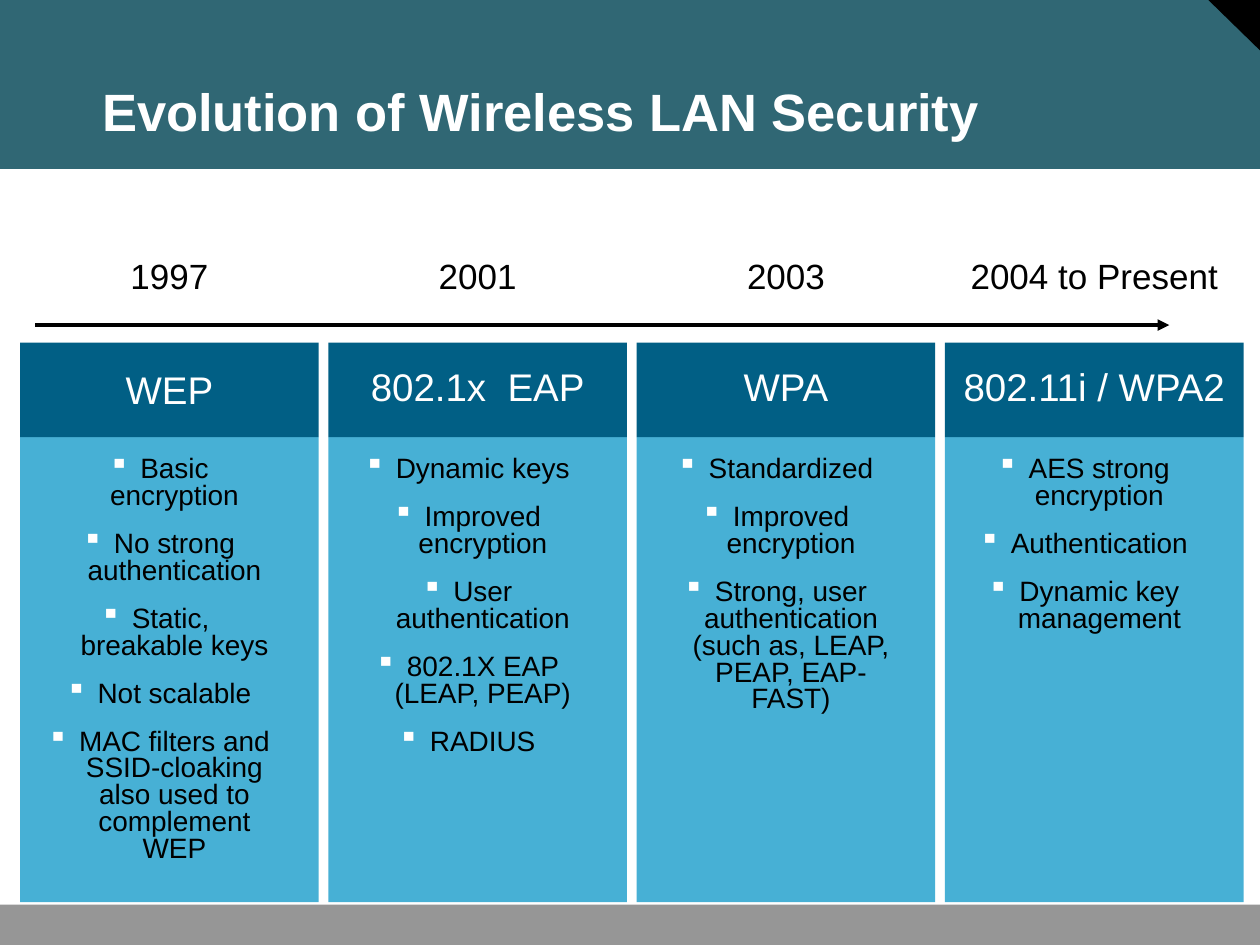
from lxml import etree
from pptx import Presentation
from pptx.dml.color import RGBColor
from pptx.enum.shapes import MSO_CONNECTOR, MSO_SHAPE
from pptx.enum.text import MSO_ANCHOR, PP_ALIGN
from pptx.oxml.ns import qn
from pptx.util import Inches, Pt

RECTANGLE, TRIANGLE = MSO_SHAPE.RECTANGLE, MSO_SHAPE.RIGHT_TRIANGLE
LEFT, CENTER = PP_ALIGN.LEFT, PP_ALIGN.CENTER
TOP, MIDDLE, BOTTOM = MSO_ANCHOR.TOP, MSO_ANCHOR.MIDDLE, MSO_ANCHOR.BOTTOM

WHITE = RGBColor(0xFF, 0xFF, 0xFF)
BLACK = RGBColor(0x00, 0x00, 0x00)
TEAL = RGBColor(0x30, 0x67, 0x74)
GRAY = RGBColor(0x96, 0x96, 0x96)
DARK_BLUE = RGBColor(0x01, 0x5F, 0x85)
LIGHT_BLUE = RGBColor(0x47, 0xB0, 0xD5)

TITLE = "Evolution of Wireless LAN Security"
# Widths, tops and spacing belong to the text boxes of each column.
ERAS = [
    {"year": "1997", "year_width": 2.04,
     "name": "WEP", "name_width": 2.21, "name_top": 2.86, "name_height": 0.47,
     "name_spacing": 1.0, "points_height": 3.33,
     "points": ["Basic encryption", "No strong authentication",
                "Static, \nbreakable keys", "Not scalable",
                "MAC filters and SSID-cloaking also used to complement WEP"]},
    {"year": "2001", "year_width": 2.15,
     "name": "802.1x  EAP", "name_width": 2.21, "name_top": 2.89, "name_height": 0.41,
     "name_spacing": 0.85, "points_height": 2.48,
     "points": ["Dynamic keys", "Improved encryption", "User authentication",
                "802.1X EAP (LEAP, PEAP)", "RADIUS"]},
    {"year": "2003", "year_width": 2.15,
     "name": "WPA", "name_width": 2.21, "name_top": 2.89, "name_height": 0.41,
     "name_spacing": 0.85, "points_height": 2.14,
     "points": ["Standardized", "Improved encryption",
                "Strong, user authentication (such as, LEAP, PEAP, EAP-FAST)"]},
    {"year": "2004 to Present", "year_width": 2.39,
     "name": "802.11i / WPA2", "name_width": 2.43, "name_top": 2.89, "name_height": 0.41,
     "name_spacing": 0.85, "points_height": 1.5,
     "points": ["AES strong encryption", "Authentication",
                "Dynamic key management"]},
]

FIRST_LEFT, LAST_LEFT, COLUMN_WIDTH = 0.16, 7.5, 2.37
PITCH = (LAST_LEFT - FIRST_LEFT) / (len(ERAS) - 1)


def add_block(slide, kind, left, top, width, height, color):
    shape = slide.shapes.add_shape(
        kind, Inches(left), Inches(top), Inches(width), Inches(height))
    shape.shadow.inherit = False
    shape.fill.solid()
    shape.fill.fore_color.rgb = color
    shape.line.fill.background()
    return shape


def add_bullet(paragraph):
    """Give the paragraph a hanging white square bullet."""
    properties = paragraph._p.get_or_add_pPr()
    properties.set("marL", str(Inches(0.38)))
    properties.set("indent", str(Inches(-0.25)))
    color = etree.SubElement(properties, qn("a:buClr"))
    etree.SubElement(color, qn("a:srgbClr"), val=str(WHITE))
    etree.SubElement(properties, qn("a:buChar"), char="▪")


def add_text(slide, paragraphs, left, top, width, height, *, size, color,
             bold=False, align=CENTER, anchor=TOP, spacing=1.0, gap=0,
             bullets=False, margins=(0.1, 0.05)):
    box = slide.shapes.add_textbox(
        Inches(left), Inches(top), Inches(width), Inches(height))
    frame = box.text_frame
    frame.word_wrap = True
    frame.vertical_anchor = anchor
    frame.margin_left = frame.margin_right = Inches(margins[0])
    frame.margin_top = frame.margin_bottom = Inches(margins[1])
    for index, text in enumerate(paragraphs):
        paragraph = frame.add_paragraph() if index else frame.paragraphs[0]
        paragraph.text = text.replace("\n", "\v")
        if bullets:
            add_bullet(paragraph)
            paragraph.level = 1
        paragraph.alignment = align
        paragraph.line_spacing = spacing
        paragraph.space_before = Pt(gap if index else 0)
        paragraph.space_after = Pt(gap)
        for run in paragraph.runs:
            run.font.name = "Arial"
            run.font.size = Pt(size)
            run.font.bold = bold
            run.font.color.rgb = color


def add_arrow(slide, start, end, top):
    arrow = slide.shapes.add_connector(
        MSO_CONNECTOR.STRAIGHT, Inches(start), Inches(top), Inches(end), Inches(top))
    arrow.line.color.rgb = BLACK
    arrow.line.width = Pt(2.25)
    etree.SubElement(arrow.line._get_or_add_ln(), qn("a:tailEnd"), type="triangle")
    etree.SubElement(arrow._element.spPr, qn("a:effectLst"))


def add_era(slide, era, left):
    """Draw one column: year, header block and list of points."""
    center = left + COLUMN_WIDTH / 2
    add_block(slide, RECTANGLE, left, 3.47, COLUMN_WIDTH, 3.69, LIGHT_BLUE)
    add_block(slide, RECTANGLE, left, 2.72, COLUMN_WIDTH, 0.75, DARK_BLUE)
    add_text(slide, [era["year"]], center - era["year_width"] / 2, 1.98,
             era["year_width"], 0.42, size=20, color=BLACK, anchor=MIDDLE,
             margins=(0.09, 0.04))
    add_text(slide, [era["name"]], center - era["name_width"] / 2, era["name_top"],
             era["name_width"], era["name_height"], size=22, color=WHITE,
             spacing=era["name_spacing"])
    add_text(slide, era["points"], left - 0.05, 3.58, 2.17, era["points_height"],
             size=16, color=BLACK, spacing=0.8, gap=6, bullets=True)


def main():
    presentation = Presentation()
    presentation.slide_width = Inches(10)
    presentation.slide_height = Inches(7.5)
    slide = presentation.slides.add_slide(presentation.slide_layouts[6])

    add_block(slide, RECTANGLE, 0, 0, 10, 1.34, TEAL)
    corner = add_block(slide, TRIANGLE, 9.58, -0.01, 0.42, 0.41, BLACK)
    corner.rotation = 180
    add_block(slide, RECTANGLE, 0, 7.18, 10, 0.33, GRAY)
    add_text(slide, [TITLE], 0.72, 0.25, 8.91, 0.92, size=30, color=WHITE,
             bold=True, align=LEFT, anchor=BOTTOM, spacing=0.9,
             margins=(0.09, 0.04))
    add_arrow(slide, 0.28, 9.28, 2.58)
    for index, era in enumerate(ERAS):
        add_era(slide, era, FIRST_LEFT + index * PITCH)

    presentation.save("out.pptx")


if __name__ == "__main__":
    main()
